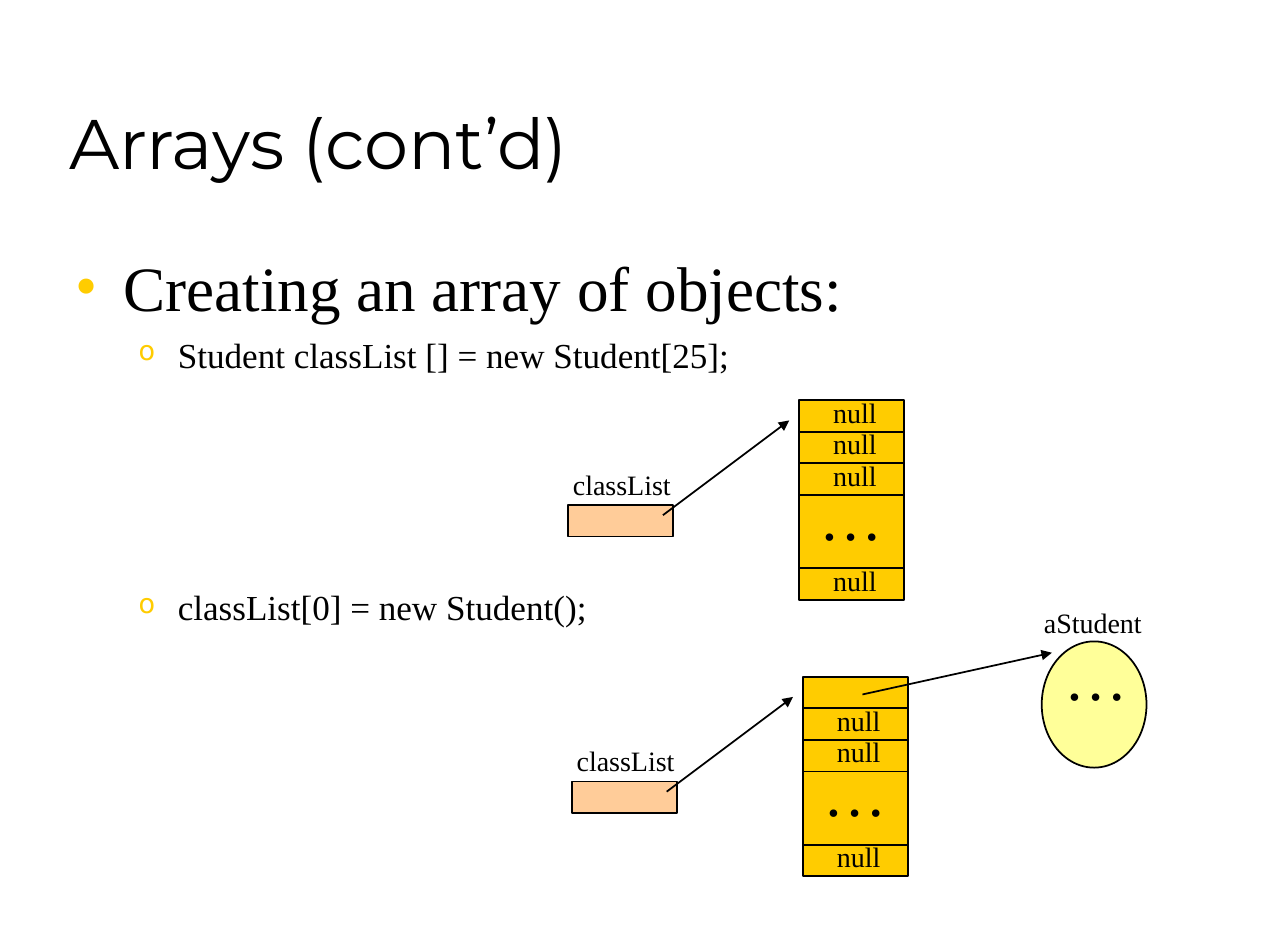
from dataclasses import dataclass

import pptx
import pptx.dml.color
import pptx.enum.shapes
import pptx.enum.text
import pptx.oxml.ns
import pptx.util
from lxml import etree

PX = 9144  # EMU per px, 100 px to the inch
SHAPE = pptx.enum.shapes.MSO_SHAPE
ALIGN = pptx.enum.text.PP_ALIGN
ANCHOR = pptx.enum.text.MSO_ANCHOR
AUTO_SIZE = pptx.enum.text.MSO_AUTO_SIZE


@dataclass(frozen=True)
class Theme:
    ink: str = "000000"
    array: str = "FFCC00"
    reference: str = "FFCC99"
    student: str = "FFFF99"
    title_font: str = "Montserrat"
    body_font: str = "Times New Roman"
    title_size: int = 40
    heading_size: int = 36
    code_size: int = 20
    label_size: int = 16
    dots_size: int = 36
    line_width: int = 1


def color(value):
    return pptx.dml.color.RGBColor.from_string(value)


def add_xml(parent, tag, **attributes):
    return etree.SubElement(parent, pptx.oxml.ns.qn(tag), attributes)


class Painter:
    def __init__(self, page, theme):
        self.page = page
        self.theme = theme

    def text_box(self, left, top, width, height, wrap=True):
        box = self.page.shapes.add_textbox(left * PX, top * PX, width * PX, height * PX)
        box.text_frame.word_wrap = wrap
        return box.text_frame

    def style(self, para, size, font=None):
        para.font.size = pptx.util.Pt(size)
        para.font.name = font or self.theme.body_font
        para.font.color.rgb = color(self.theme.ink)

    def title(self, text, *bounds):
        frame = self.text_box(*bounds)
        frame.vertical_anchor = ANCHOR.BOTTOM
        frame.text = text
        self.style(frame.paragraphs[0], self.theme.title_size, self.theme.title_font)

    def bullet(self, para, text, mark, size, before, margin, hanging,
               level=0, percent=100, mark_font=None):
        para.text = text
        para.level = level
        para.space_before = pptx.util.Pt(before)
        props = para._p.get_or_add_pPr()
        props.set("marL", str(margin * PX))
        props.set("indent", str(-hanging * PX))
        add_xml(add_xml(props, "a:buClr"), "a:srgbClr", val=self.theme.array)
        add_xml(props, "a:buSzPct", val=str(percent * 1000))
        if mark_font:
            add_xml(props, "a:buFont", typeface=mark_font)
        add_xml(props, "a:buChar", char=mark)
        self.style(para, size)

    def label(self, text, left, top, width, height=37, size=None):
        frame = self.text_box(left, top, width, height, wrap=False)
        frame.auto_size = AUTO_SIZE.SHAPE_TO_FIT_TEXT
        frame.text = text
        frame.paragraphs[0].alignment = ALIGN.CENTER
        self.style(frame.paragraphs[0], size or self.theme.label_size)

    def dots(self, left, top, width):
        self.label("…", left, top, width, 70, self.theme.dots_size)

    def shape(self, kind, fill, left, top, width, height):
        shape = self.page.shapes.add_shape(kind, left * PX, top * PX, width * PX, height * PX)
        shape.shadow.inherit = False
        shape.fill.solid()
        shape.fill.fore_color.rgb = color(fill)
        self.outline(shape.line)

    def outline(self, line):
        line.color.rgb = color(self.theme.ink)
        line.width = pptx.util.Pt(self.theme.line_width)

    def line(self, x1, y1, x2, y2, arrow=False):
        connector = self.page.shapes.add_connector(
            pptx.enum.shapes.MSO_CONNECTOR.STRAIGHT, x1 * PX, y1 * PX, x2 * PX, y2 * PX)
        self.outline(connector.line)
        if arrow:
            add_xml(connector.line._get_or_add_ln(), "a:tailEnd", type="triangle")
        add_xml(connector._element.spPr, "a:effectLst")

    def array(self, left, top, null_rows):
        """Draw a classList reference and the array that it points to."""
        row_tops = (0, 25, 50, 75, 133)
        width = 83
        self.label("classList", left - 199, top + 48, 117)
        self.shape(SHAPE.RECTANGLE, self.theme.array, left, top, width, 158)
        for row_top in row_tops[1:]:
            self.line(left, top + row_top, left + width, top + row_top)
        self.shape(SHAPE.RECTANGLE, self.theme.reference, left - 183, top + 83, width, 25)
        self.dots(left + 6, top + 56, 70)
        self.line(left - 108, top + 91, left - 8, top + 16, arrow=True)
        for row in null_rows:
            self.label("null", left + 7, top + row_tops[row] - 9, 74)

    def student(self, left, top):
        self.shape(SHAPE.OVAL, self.theme.student, left, top, 83, 100)
        self.label("aStudent", left - 18, top - 33, 117)
        self.line(left - 142, top + 42, left + 8, top + 9, arrow=True)
        self.dots(left + 8, top - 8, 67)


def main():
    deck = pptx.Presentation()
    deck.slide_width = 1020 * PX
    deck.slide_height = 750 * PX
    theme = Theme()
    painter = Painter(deck.slides.add_slide(deck.slide_layouts[6]), theme)

    painter.title("Arrays (cont’d)", 45, 25, 867, 125)
    body = painter.text_box(50, 192, 912, 456)
    painter.bullet(body.paragraphs[0], "Creating an array of objects:", "•",
                   theme.heading_size, before=9, margin=38, hanging=38,
                   mark_font=theme.body_font)
    for text, before in (("Student classList [] = new Student[25];", 5),
                         ("classList[0] = new Student();", 120)):
        painter.bullet(body.add_paragraph(), text, "o", theme.code_size, before,
                       margin=81, hanging=31, level=1, percent=77)

    painter.array(633, 317, null_rows=(0, 1, 2, 4))
    painter.array(636, 536, null_rows=(1, 2, 4))
    painter.student(825, 508)
    deck.save("out.pptx")


if __name__ == "__main__":
    main()
